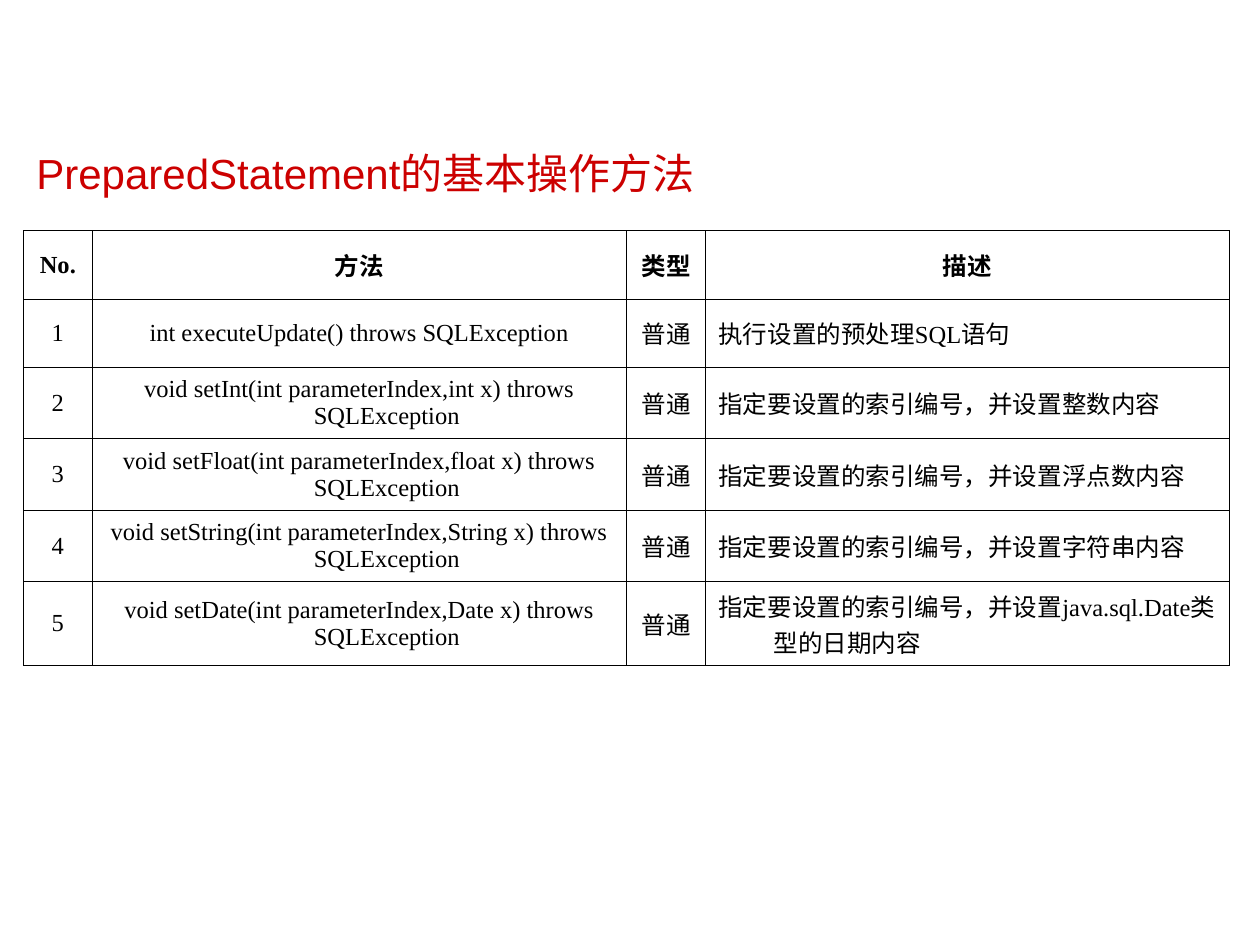
from lxml import etree
from pptx import Presentation
from pptx.dml.color import RGBColor
from pptx.enum import shapes as s
from pptx.enum import text as t
from pptx.oxml import ns
from pptx.util import Pt

RED = RGBColor(0xCC, 0x00, 0x00)
BLACK = RGBColor(0x00, 0x00, 0x00)
WHITE = RGBColor(0xFF, 0xFF, 0xFF)
LEFT, MID = t.PP_ALIGN.LEFT, t.PP_ALIGN.CENTER

HEAD = ("No.", "方法", "类型", "描述")
CALLS = (
    ("int executeUpdate()", "执行设置的预处理SQL语句"),
    ("void setInt(int parameterIndex,int x)", "指定要设置的索引编号，并设置整数内容"),
    ("void setFloat(int parameterIndex,float x)", "指定要设置的索引编号，并设置浮点数内容"),
    ("void setString(int parameterIndex,String x)", "指定要设置的索引编号，并设置字符串内容"),
    ("void setDate(int parameterIndex,Date x)", "指定要设置的索引编号，并设置java.sql.Date类型的日期内容"),
)
WIDE = (38.9, 305.5, 45.2, 298.8)
TALL = (38.9, 39.1, 40.8, 40.8, 40.8, 40.8)


def write(frame, words, font, size, color, bold=False, align=LEFT, hang=0, space=1.0):
    para = frame.paragraphs[0]
    para.alignment = align
    para.line_spacing = space
    props = para._p.get_or_add_pPr()
    props.set("marL", str(Pt(hang)))
    props.set("indent", str(Pt(-hang)))
    run = para.add_run()
    run.text = words
    run.font.name = font
    run.font.size = Pt(size)
    run.font.bold = bold
    run.font.color.rgb = color


def edge(cell, color, width):
    props = cell._tc.get_or_add_tcPr()
    for side in ("lnL", "lnR", "lnT", "lnB"):
        line = etree.SubElement(props, ns.qn("a:" + side), w=str(Pt(width)))
        fill = etree.SubElement(line, ns.qn("a:solidFill"))
        etree.SubElement(fill, ns.qn("a:srgbClr"), val=str(color))


def rule(slide, x, y, w, h):
    line = slide.shapes.add_connector(
        s.MSO_CONNECTOR.STRAIGHT, Pt(x), Pt(y), Pt(x + w), Pt(y + h))
    line.line.color.rgb = WHITE
    line.line.width = Pt(0.75)
    etree.SubElement(line._element.spPr, ns.qn("a:effectLst"))


def title(slide, x, y, w, h):
    shape = slide.shapes.title
    shape.left, shape.top, shape.width, shape.height = map(Pt, (x, y, w, h))
    frame = shape.text_frame
    frame.word_wrap = True
    frame.auto_size = t.MSO_AUTO_SIZE.NONE
    frame.vertical_anchor = t.MSO_ANCHOR.MIDDLE
    write(frame, "PreparedStatement的基本操作方法", "Arial", 24, RED, space=0.9)


def methods(slide, x, y, w, h):
    rows = [HEAD]
    for num, (call, note) in enumerate(CALLS, 1):
        rows.append((str(num), call + " throws SQLException", "普通", note))
    grid = slide.shapes.add_table(len(rows), len(HEAD), *map(Pt, (x, y, w, h))).table
    grid.first_row = grid.horz_banding = False
    for col, wide in zip(grid.columns, WIDE):
        col.width = Pt(wide * w / sum(WIDE))
    for row, tall in zip(grid.rows, TALL):
        row.height = Pt(tall * h / sum(TALL))
    for r, row in enumerate(rows):
        for c, words in enumerate(row):
            cell = grid.cell(r, c)
            edge(cell, BLACK, 0.45)
            cell.fill.background()
            cell.vertical_anchor = t.MSO_ANCHOR.MIDDLE
            align = LEFT if r and c == 3 else MID
            write(cell.text_frame, words, "Times New Roman", 14, BLACK,
                  bold=r == 0, align=align, hang=31.5)


def main():
    deck = Presentation()
    deck.slide_width, deck.slide_height = Pt(720), Pt(540)
    slide = deck.slides.add_slide(deck.slide_layouts[5])
    rule(slide, 67, 510.5, 0, 15.1)
    title(slide, 13.6, 69.5, 689, 62)
    methods(slide, 13.6, 131.9, 688.7, 241.3)
    deck.save("out.pptx")


if __name__ == "__main__":
    main()
